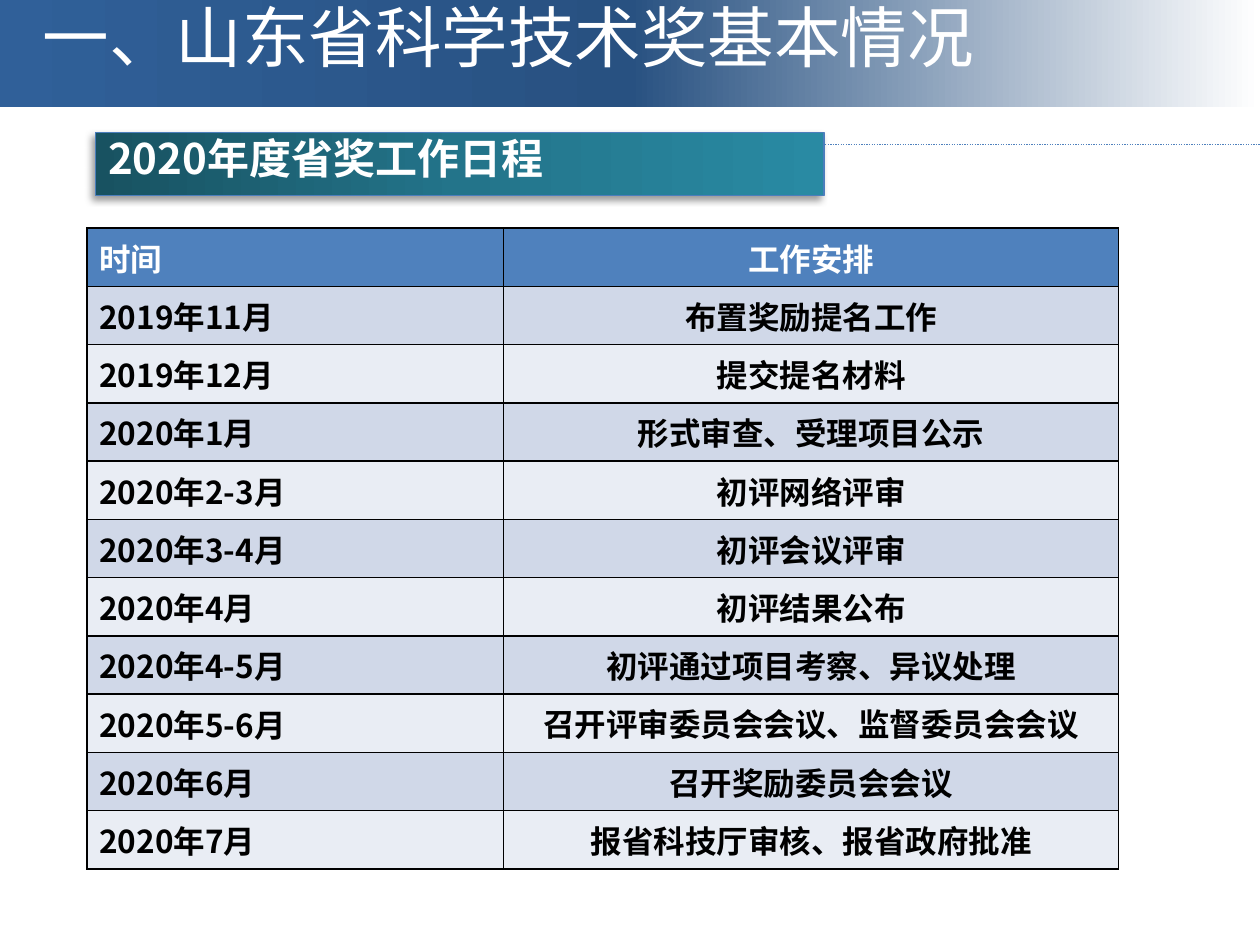
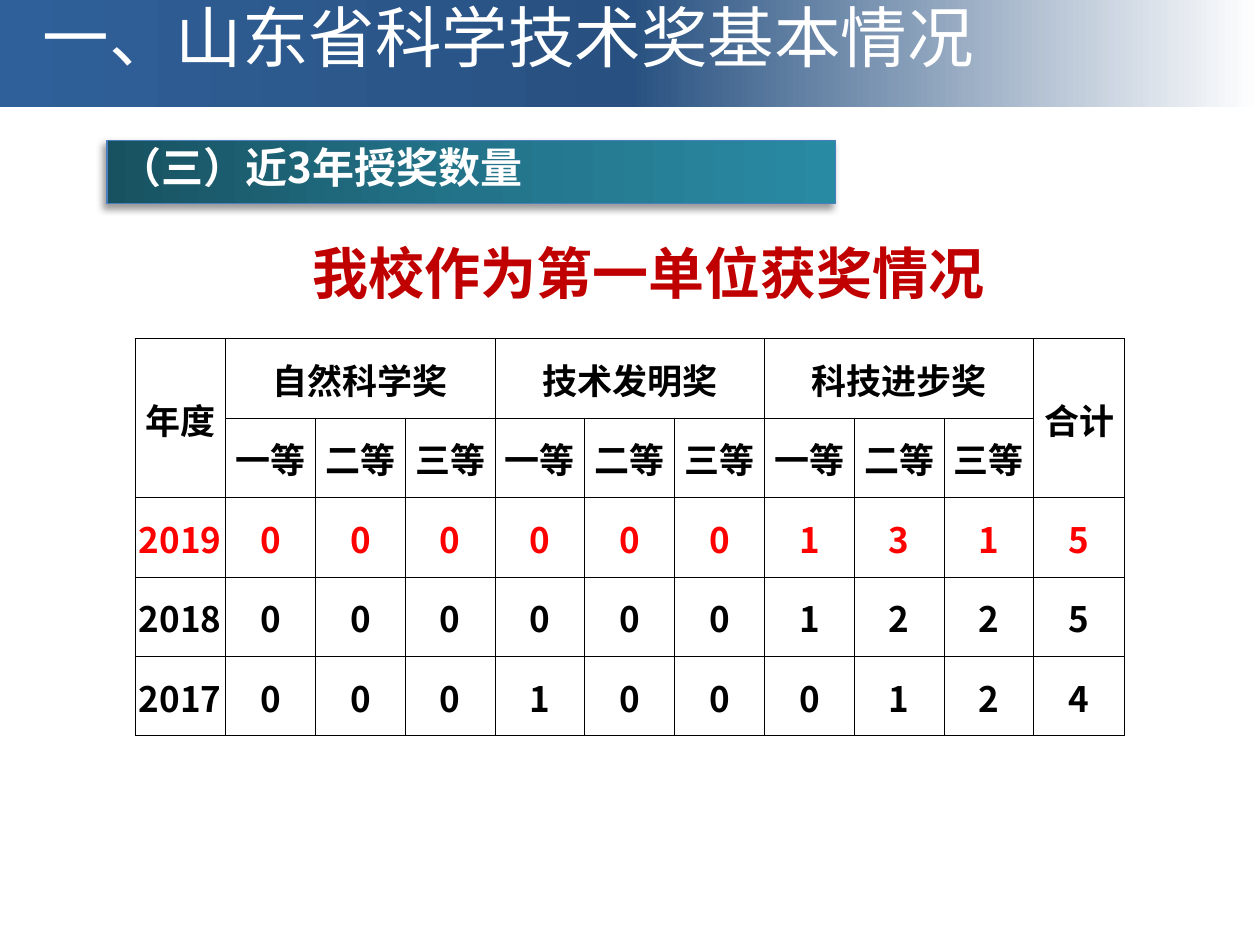
from dataclasses import dataclass

from lxml.etree import SubElement
from pptx import Presentation
from pptx.dml.color import RGBColor
from pptx.enum.dml import MSO_LINE
from pptx.enum.shapes import MSO_CONNECTOR, MSO_SHAPE
from pptx.enum.text import MSO_ANCHOR, PP_ALIGN
from pptx.oxml.ns import qn
from pptx.util import Cm, Pt


@dataclass(frozen=True)
class Theme:
    """Colours, font and type sizes of the deck."""
    font: str = "Noto Sans CJK SC"
    white: str = "FFFFFF"
    black: str = "000000"
    red: str = "FF0000"
    dark_red: str = "C00000"
    blue: str = "4F81BD"
    outline: str = "4B7EBC"
    stripes: tuple = ("E9EDF4", "D0D8E8")
    title_stops: tuple = ("FFFFFF", "285181", "306099")
    section_stops: tuple = ("185261", "23748A", "298AA3")
    title_size: int = 38
    caption_size: int = 32
    section_size: int = 24
    awards_size: int = 20
    schedule_size: int = 18


theme = Theme()


def write(tf, text, size, color, bold=True, align=PP_ALIGN.LEFT, spacing=None):
    """Put one formatted paragraph into a text frame."""
    p = tf.paragraphs[0]
    p.alignment = align
    p.line_spacing = spacing
    r = p.add_run()
    r.text = text
    for name, value in {"name": theme.font, "size": Pt(size), "bold": bold}.items():
        setattr(r.font, name, value)
    r.font.color.rgb = RGBColor.from_string(color)
    SubElement(r.font._element, qn("a:ea"), typeface=theme.font)


def add_band(slide, box, stops, angle):
    """Add a rectangle with an evenly spaced gradient and top-anchored text."""
    s = slide.shapes.add_shape(MSO_SHAPE.RECTANGLE, *map(Cm, box))
    s.fill.gradient()
    s.fill.gradient_angle = angle
    stop_list = s._element.spPr.find(".//" + qn("a:gsLst"))
    stop_list.clear()
    for i, color in enumerate(stops):
        stop = SubElement(stop_list, qn("a:gs"), pos=str(i * 50000))
        SubElement(stop, qn("a:srgbClr"), val=color)
    s.line.fill.background()
    s.shadow.inherit = False
    s.text_frame.word_wrap = True
    s.text_frame.vertical_anchor = MSO_ANCHOR.TOP
    return s


prs = Presentation()
prs.slide_width, prs.slide_height = Cm(25.4), Cm(19.05)
schedule_slide, awards_slide = (prs.slides.add_slide(prs.slide_layouts[6]) for _ in range(2))

# Dotted rule that runs out from behind the section band
rule = schedule_slide.shapes.add_connector(
    MSO_CONNECTOR.STRAIGHT, Cm(2.49), Cm(2.92), Cm(25.4), Cm(2.92))
rule.line.color.rgb = RGBColor.from_string(theme.blue)
rule.line.width = Pt(0.75)
rule.line.dash_style = MSO_LINE.ROUND_DOT
SubElement(rule._element.spPr, qn("a:effectLst"))

# Title and section bands
sections = [
    (schedule_slide, 1.93, 2.67, "2020年度省奖工作日程"),
    (awards_slide, 2.16, 2.84, "（三）近3年授奖数量"),
]
for slide, left, top, heading in sections:
    title = add_band(slide, (0, -0.03, 25.4, 2.18), theme.title_stops, 180)
    title.text_frame.margin_left = Cm(0.86)
    write(title.text_frame, "一、山东省科学技术奖基本情况", theme.title_size, theme.white,
          bold=False, spacing=0.9)

    section = add_band(slide, (left, top, 14.68, 1.27), theme.section_stops, 0)
    section.line.color.rgb = RGBColor.from_string(theme.outline)
    section.line.width = Pt(0.75)
    effects = section._element.spPr.find(qn("a:effectLst"))
    shadow = SubElement(effects, qn("a:outerShdw"), blurRad=str(Pt(4)), dist=str(Pt(3)),
                        dir=str(135 * 60000), algn="tr", rotWithShape="0")
    shade = SubElement(shadow, qn("a:srgbClr"), val=theme.black)
    SubElement(shade, qn("a:alpha"), val="40000")
    write(section.text_frame, heading, theme.section_size, theme.white, spacing=0.9)

# Work schedule
schedule = [
    ("时间", "工作安排"),
    ("2019年11月", "布置奖励提名工作"),
    ("2019年12月", "提交提名材料"),
    ("2020年1月", "形式审查、受理项目公示"),
    ("2020年2-3月", "初评网络评审"),
    ("2020年3-4月", "初评会议评审"),
    ("2020年4月", "初评结果公布"),
    ("2020年4-5月", "初评通过项目考察、异议处理"),
    ("2020年5-6月", "召开评审委员会会议、监督委员会会议"),
    ("2020年6月", "召开奖励委员会会议"),
    ("2020年7月", "报省科技厅审核、报省政府批准"),
]
schedule_table = schedule_slide.shapes.add_table(
    len(schedule), 2, Cm(1.75), Cm(4.6), Cm(20.8), Cm(11.84)).table
for column, width in zip(schedule_table.columns, (8.4, 12.4)):
    column.width = Cm(width)
for i, row in enumerate(schedule):
    for j, text in enumerate(row):
        cell = schedule_table.cell(i, j)
        cell.fill.solid()
        cell.fill.fore_color.rgb = RGBColor.from_string(theme.stripes[i % 2] if i else theme.blue)
        cell.vertical_anchor = MSO_ANCHOR.TOP if j else MSO_ANCHOR.MIDDLE
        write(cell.text_frame, text, theme.schedule_size, theme.black if i else theme.white,
              align=PP_ALIGN.CENTER if j else PP_ALIGN.LEFT)

# Awards won in the last three years
caption = awards_slide.shapes.add_textbox(Cm(6.05), Cm(4.83), Cm(14.58), Cm(1.63))
caption.text_frame.word_wrap = True
write(caption.text_frame, "我校作为第一单位获奖情况", theme.caption_size, theme.dark_red, spacing=0.9)

awards = [
    ["年度", "自然科学奖", "", "", "技术发明奖", "", "", "科技进步奖", "", "", "合计"],
    ["", *["一等", "二等", "三等"] * 3, ""],
    ["2019", 0, 0, 0, 0, 0, 0, 1, 3, 1, 5],
    ["2018", 0, 0, 0, 0, 0, 0, 1, 2, 2, 5],
    ["2017", 0, 0, 0, 1, 0, 0, 0, 1, 2, 4],
]
awards_table = awards_slide.shapes.add_table(
    5, 11, Cm(2.72), Cm(6.83), Cm(19.95), Cm(8)).table
for j, column in enumerate(awards_table.columns):
    column.width = Cm(1.83 if j in (0, 10) else 1.81)
for j in (0, 10):
    awards_table.cell(0, j).merge(awards_table.cell(1, j))
for j in (1, 4, 7):
    awards_table.cell(0, j).merge(awards_table.cell(0, j + 2))
cell_format = {
    "margin_left": Cm(0.03), "margin_right": Cm(0.03), "margin_top": Cm(0.03),
    "margin_bottom": 0, "vertical_anchor": MSO_ANCHOR.MIDDLE,
}
for i, row in enumerate(awards):
    for j, value in enumerate(row):
        cell = awards_table.cell(i, j)
        cell.fill.background()
        for name, setting in cell_format.items():
            setattr(cell, name, setting)
        if value != "":
            write(cell.text_frame, str(value), theme.awards_size,
                  theme.red if i == 2 else theme.black, align=PP_ALIGN.CENTER)

# Black grid lines on both tables
for table, width in ((schedule_table, 1), (awards_table, 0.5)):
    table.first_row = table.horz_banding = False
    for cell in table.iter_cells():
        tcPr = cell._tc.get_or_add_tcPr()
        for i, side in enumerate(("lnL", "lnR", "lnT", "lnB")):
            border = SubElement(tcPr, qn("a:" + side), w=str(Pt(width)))
            fill = SubElement(border, qn("a:solidFill"))
            SubElement(fill, qn("a:srgbClr"), val=theme.black)
            tcPr.insert(i, border)

prs.save("out.pptx")
